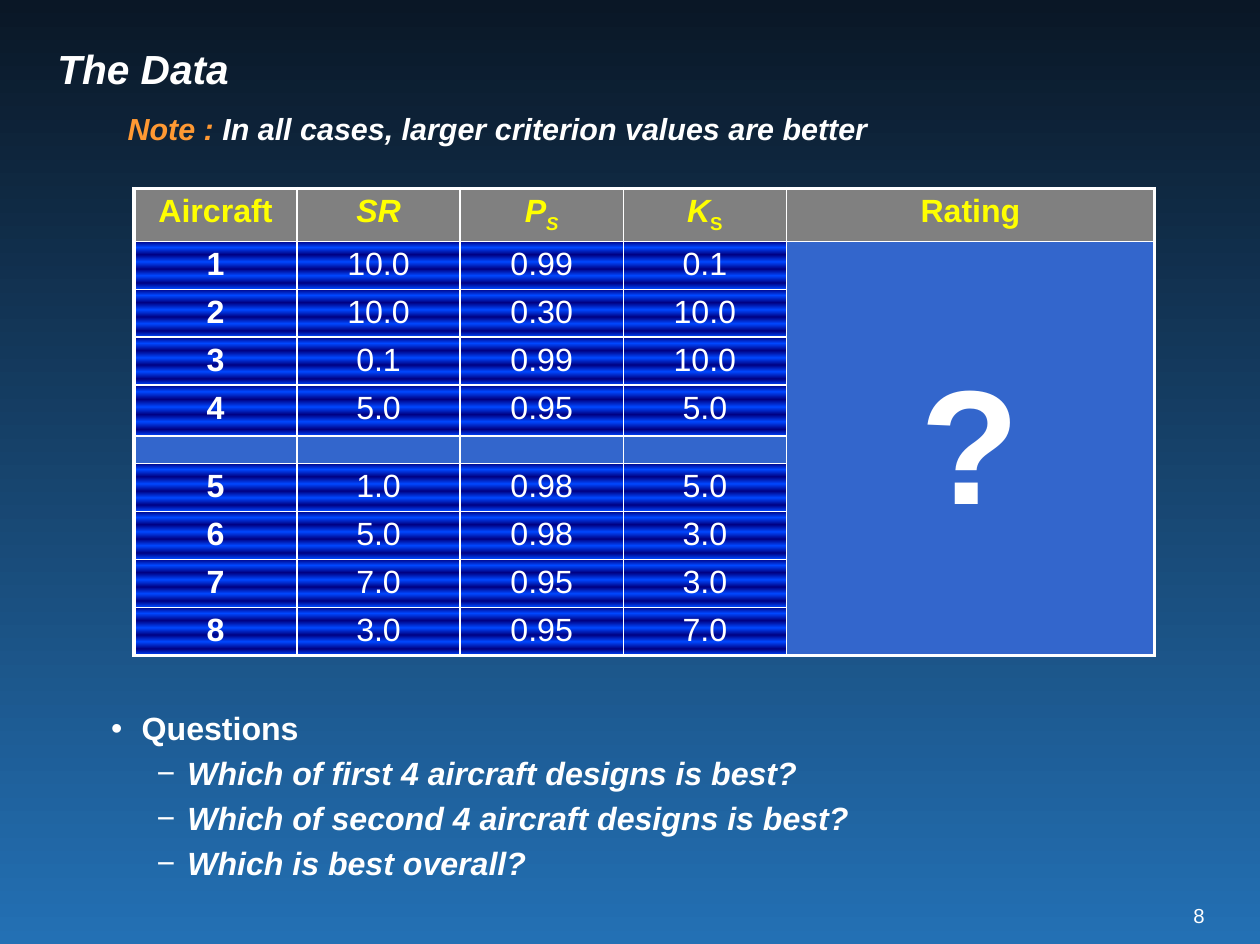
from lxml.etree import SubElement
from pptx import Presentation
from pptx.dml.color import RGBColor
from pptx.enum.text import MSO_ANCHOR, MSO_AUTO_SIZE, PP_ALIGN
from pptx.oxml.ns import qn
from pptx.util import Cm, Pt

LEFT, MID, RIGHT = PP_ALIGN.LEFT, PP_ALIGN.CENTER, PP_ALIGN.RIGHT
TOP, CENTER = MSO_ANCHOR.TOP, MSO_ANCHOR.MIDDLE
FIXED = MSO_AUTO_SIZE.NONE
HUES = {
    "night": "0A1726", "sky": "2370B4", "white": "FFFFFF", "gold": "FFFF00",
    "grey": "808080", "blue": "3366CC", "navy": "000082", "bright": "0047FF",
    "orange": "FF9933",
}


def write(par, text, size, hue="white", bold=False, ital=False):
    run = par.add_run()
    run.text = text
    font = run.font
    font.name = "Arial"
    font.size = Pt(size)
    font.bold = bold
    font.italic = ital
    font.color.rgb = RGBColor.from_string(HUES[hue])
    return run


def paint(node, hue):
    SubElement(node, qn("a:srgbClr"), val=HUES[hue])


prs = Presentation()
prs.slide_width, prs.slide_height = Cm(26.26), Cm(19.68)
slide = prs.slides.add_slide(prs.slide_layouts[1])

back = slide.background.fill
back.gradient()
back.gradient_angle = 270
for stop, spot, hue in zip(back.gradient_stops, (0, 1), ("night", "sky")):
    stop.position = spot
    stop.color.rgb = RGBColor.from_string(HUES[hue])

title = slide.shapes.title
title.left, title.top, title.width, title.height = Cm(0.94), Cm(0.79), Cm(21.51), Cm(1.37)
frame = title.text_frame
frame.auto_size = FIXED
frame.vertical_anchor = CENTER
par = frame.paragraphs[0]
par.alignment = LEFT
par.line_spacing = Pt(26)
write(par, "The Data", 24, bold=True, ital=True)

body = slide.placeholders[1]
body.left, body.top, body.width, body.height = Cm(2.06), Cm(14.65), Cm(19.08), Cm(4.39)
frame = body.text_frame
frame.auto_size = FIXED
lines = [
    ("Questions", 0),
    ("Which of first 4 aircraft designs is best?", 1),
    ("Which of second 4 aircraft designs is best?", 1),
    ("Which is best overall?", 1),
]
for i, (text, level) in enumerate(lines):
    par = frame.add_paragraph() if i else frame.paragraphs[0]
    par.level = level
    par.alignment = LEFT
    par.space_before = Pt(3.8)
    props = par._p.get_or_add_pPr()
    props.set("marL", str(Cm((0.64, 1.59)[level])))
    props.set("indent", str(Cm(-0.64)))
    SubElement(props, qn("a:buChar"), char="•−"[level])
    write(par, text, 19, bold=True, ital=level == 1)

heads = ["Aircraft", "SR", "P", "K", "Rating"]
data = [
    ("1", "10.0", "0.99", "0.1"),
    ("2", "10.0", "0.30", "10.0"),
    ("3", "0.1", "0.99", "10.0"),
    ("4", "5.0", "0.95", "5.0"),
    (),
    ("5", "1.0", "0.98", "5.0"),
    ("6", "5.0", "0.98", "3.0"),
    ("7", "7.0", "0.95", "3.0"),
    ("8", "3.0", "0.95", "7.0"),
]
wide = [3.4] * 4 + [7.67]
high = [1.1, 1, 1, 1, 1.06, 0.57, 1, 1, 1, 1]
stops = [0, 13, 28, 43, 58, 72, 87, 100]
grid = slide.shapes.add_table(
    len(high), len(wide), Cm(2.79), Cm(3.93), Cm(sum(wide)), Cm(sum(high))).table
for col, size in zip(grid.columns, wide):
    col.width = Cm(size)
for row, size in zip(grid.rows, high):
    row.height = Cm(size)
grid.cell(1, 4).merge(grid.cell(9, 4))

for r in range(len(high)):
    for c in range(len(wide)):
        cell = grid.cell(r, c)
        cell.margin_top = cell.margin_bottom = Cm(0.11)
        cell.vertical_anchor = TOP
        props = cell._tc.get_or_add_tcPr()
        last = r == 9 or cell.is_merge_origin
        edges = [("L", c == 0), ("R", c == 4), ("T", r == 0), ("B", last)]
        for side, outer in edges:
            edge = SubElement(props, qn("a:ln" + side), w=str(Pt(2.25 if outer else 1)))
            paint(SubElement(edge, qn("a:solidFill")), "white")
        par = cell.text_frame.paragraphs[0]
        par.alignment = MID
        if r == 0:
            paint(SubElement(props, qn("a:solidFill")), "grey")
            write(par, heads[c], 19, "gold", True, 0 < c < 4)
            if c in (2, 3):
                sub = write(par, "S", 19, "gold", True, c == 2)
                sub.font._element.set("baseline", "-25000")
        elif c == 4 or not data[r - 1]:
            paint(SubElement(props, qn("a:solidFill")), "blue")
            if cell.is_merge_origin:
                cell.vertical_anchor = CENTER
                write(par, "?", 96, bold=True)
            else:
                SubElement(par._p, qn("a:endParaRPr"), sz="800")
        else:
            grad = SubElement(props, qn("a:gradFill"), rotWithShape="1")
            bands = SubElement(grad, qn("a:gsLst"))
            for i, spot in enumerate(stops):
                stop = SubElement(bands, qn("a:gs"), pos=str(spot * 1000))
                paint(stop, ("navy", "bright")[i % 2])
            SubElement(grad, qn("a:lin"), ang="5400000", scaled="0")
            write(par, data[r - 1][c], 19, bold=c == 0)

note = slide.shapes.add_textbox(Cm(2.41), Cm(2.17), Cm(21.26), Cm(1.02)).text_frame
note.word_wrap = True
par = note.paragraphs[0]
write(par, "Note :", 18, "orange", True, True)
write(par, " In all cases, larger criterion values are better", 18, "white", True, True)

page = slide.shapes.add_textbox(Cm(24.6), Cm(18.83), Cm(0.51), Cm(0.51)).text_frame
page.margin_left = page.margin_right = page.margin_top = page.margin_bottom = 0
par = page.paragraphs[0]
par.alignment = RIGHT
write(par, "8", 12)

prs.save("out.pptx")
